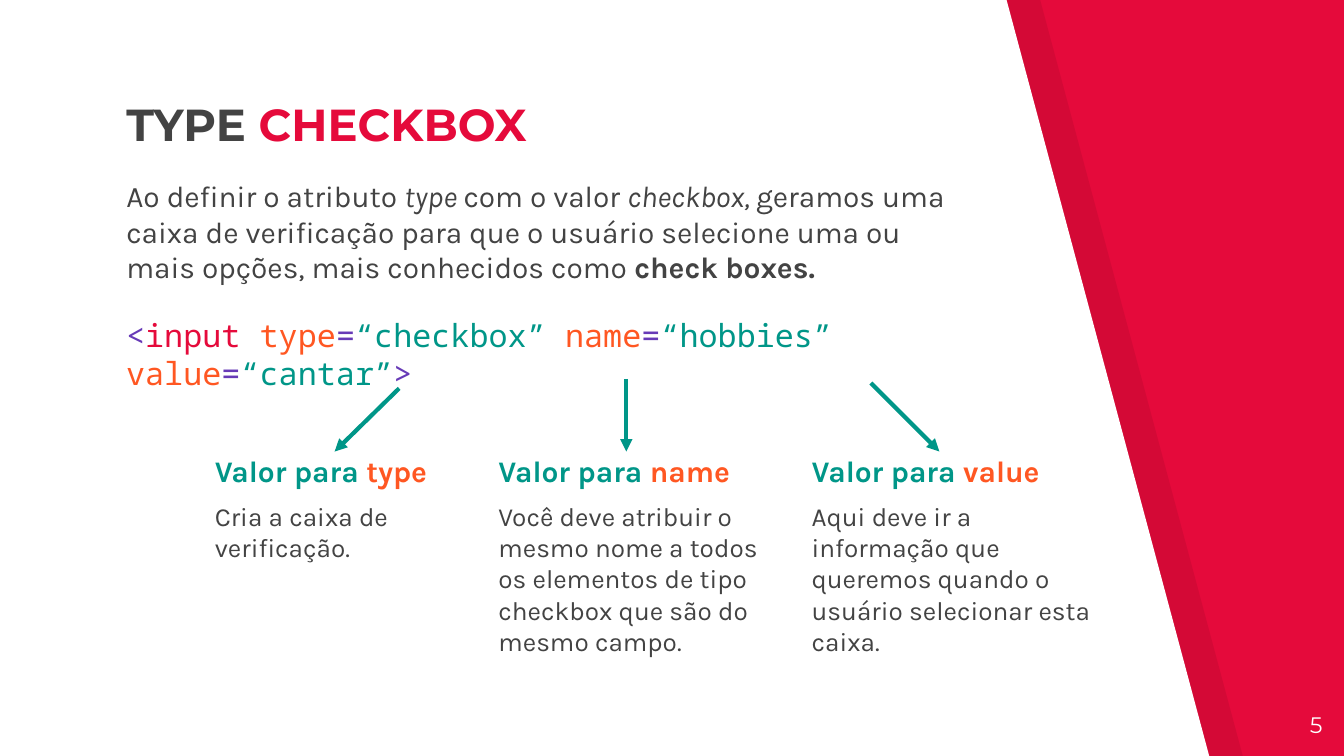
"""Build the slide explaining the HTML checkbox input."""
from lxml import etree
from pptx import Presentation
from pptx import util as u
from pptx.dml.color import RGBColor
from pptx.enum import shapes, text
from pptx.oxml import ns

RED = RGBColor(0xE5, 0x0A, 0x3B)
BLACK = RGBColor(0x00, 0x00, 0x00)
WHITE = RGBColor(0xFF, 0xFF, 0xFF)
GRAY = RGBColor(0x43, 0x43, 0x43)
TEAL = RGBColor(0x00, 0x96, 0x88)
ORANGE = RGBColor(0xFF, 0x57, 0x22)
PURPLE = RGBColor(0x67, 0x3A, 0xB7)

WIDTH = 10
HEIGHT = WIDTH * 9 / 16
LEFT = 0.84
PANEL_WIDTH, SLANT, BLEED = 9, 1.51, 0.01
EXPLAIN_TOP, EXPLAIN_HEIGHT, ARROW_END = 3.27, 1.08, 3.36

TITLE = [("TYPE ", GRAY), ("CHECKBOX", RED)]
INTRO = [
    ("Ao definir o atributo ", GRAY),
    ("type ", GRAY, "i"),
    ("com o valor ", GRAY),
    ("checkbox, ", GRAY, "i"),
    ("geramos uma caixa de verificação para que o usuário selecione uma ou "
     "mais opções, mais conhecidos como ", GRAY),
    ("check boxes.", GRAY, "b"),
]
TAG = "input "
ATTRIBUTES = [("type", "“checkbox” "), ("name", "“hobbies” "), ("value", "“cantar”")]
EXPLANATIONS = [
    ("type", "Cria a caixa de verificação.", 1.5, 1.96, (2.97, 2.89), 2.49),
    ("name", "Você deve atribuir o mesmo nome a todos os elementos de tipo "
     "checkbox que são do mesmo campo. ", 3.61, 2.31, (4.66, 2.82), 4.66),
    ("value", "Aqui deve ir a informação que queremos quando o usuário "
     "selecionar esta caixa. ", 5.94, 2.31, (6.48, 2.85), 6.99),
]
PANELS = [(0.25, BLACK, 7), (0, WHITE, 100)]


def add_runs(p, runs, font, size, before=6):
    p.space_before = u.Pt(before)
    for content, color, *style in runs:
        r = p.add_run()
        r.text = content
        r.font.name, r.font.size = font, u.Pt(size)
        r.font.color.rgb = color
        r.font.bold = "b" in style
        r.font.italic = "i" in style


def set_frame(sp, left, top, width, height, anchor=text.MSO_ANCHOR.TOP):
    sp.left, sp.top, sp.width, sp.height = map(u.Inches, (left, top, width, height))
    tf = sp.text_frame
    tf.word_wrap = True
    tf.auto_size = text.MSO_AUTO_SIZE.NONE
    tf.vertical_anchor = anchor
    tf.margin_left = tf.margin_right = tf.margin_top = tf.margin_bottom = u.Inches(0.1)
    p = tf.paragraphs[0]
    p.alignment = text.PP_ALIGN.LEFT
    return tf, p


def add_text(*box):
    return set_frame(s.shapes.add_textbox(0, 0, 0, 0), *box)


def add_panel(left, color, opacity, layer):
    edge, bottom = left + PANEL_WIDTH, HEIGHT + BLEED
    builder = s.shapes.build_freeform(u.Inches(left), u.Inches(-BLEED))
    builder.add_line_segments(
        [(u.Inches(x), u.Inches(y)) for x, y in
         [(left, bottom), (edge, bottom), (edge - SLANT, 0)]], close=True)
    sp = builder.convert_to_shape()
    sp.shadow.inherit = False
    sp.fill.solid()
    sp.fill.fore_color.rgb = color
    if opacity < 100:
        rgb = sp._element.spPr.find(".//" + ns.qn("a:srgbClr"))
        etree.SubElement(rgb, ns.qn("a:alpha"), val=str(opacity * 1000))
    sp.line.fill.background()
    s.shapes._spTree.insert(2 + layer, sp._element)


def add_arrow(start, end):
    line = s.shapes.add_connector(
        shapes.MSO_CONNECTOR.STRAIGHT, *map(u.Inches, (*start, *end)))
    line.line.color.rgb = TEAL
    line.line.width = u.Pt(2.25)
    ln = line._element.spPr.find(ns.qn("a:ln"))
    etree.SubElement(ln, ns.qn("a:tailEnd"), type="triangle")
    etree.SubElement(line._element.spPr, ns.qn("a:effectLst"))


prs = Presentation()
prs.slide_width, prs.slide_height = u.Inches(WIDTH), u.Inches(HEIGHT)
s = prs.slides.add_slide(prs.slide_layouts[1])
s.background.fill.solid()
s.background.fill.fore_color.rgb = RED

for layer, panel in enumerate(PANELS):
    add_panel(*panel, layer)

tf, p = set_frame(s.shapes.title, LEFT, 0.77, 5.25, 0.45, text.MSO_ANCHOR.BOTTOM)
add_runs(p, [(*run, "b") for run in TITLE], "Montserrat", 24, 0)

tf, p = set_frame(s.placeholders[1], LEFT, 1.22, 6.41, 1)
pPr = p._p.get_or_add_pPr()
pPr.set("marL", "0")
pPr.set("indent", "0")
add_runs(p, INTRO, "Karla", 16)
etree.SubElement(pPr, ns.qn("a:buNone"))

code = [("<", PURPLE), (TAG, RED)]
for name, value in ATTRIBUTES:
    code += [(name, ORANGE), ("=", PURPLE), (value, TEAL)]
tf, p = add_text(LEFT, 2.25, 7.5, 0.91)
add_runs(p, code + [("> ", PURPLE)], "Noto Sans Mono", 17)

for name, detail, left, width, start, end_x in EXPLANATIONS:
    tf, p = add_text(left, EXPLAIN_TOP, width, EXPLAIN_HEIGHT)
    add_runs(p, [("Valor para ", TEAL, "b"), (name, ORANGE, "b")], "Karla", 16)
    add_runs(tf.add_paragraph(), [(detail, GRAY)], "Karla", 14)
    add_arrow(start, (end_x, ARROW_END))

tf, p = add_text(9.34, 5.19, 0.6, 0.43)
p.alignment = text.PP_ALIGN.RIGHT
add_runs(p, [("5", WHITE)], "Montserrat", 12, 0)

prs.save("out.pptx")
